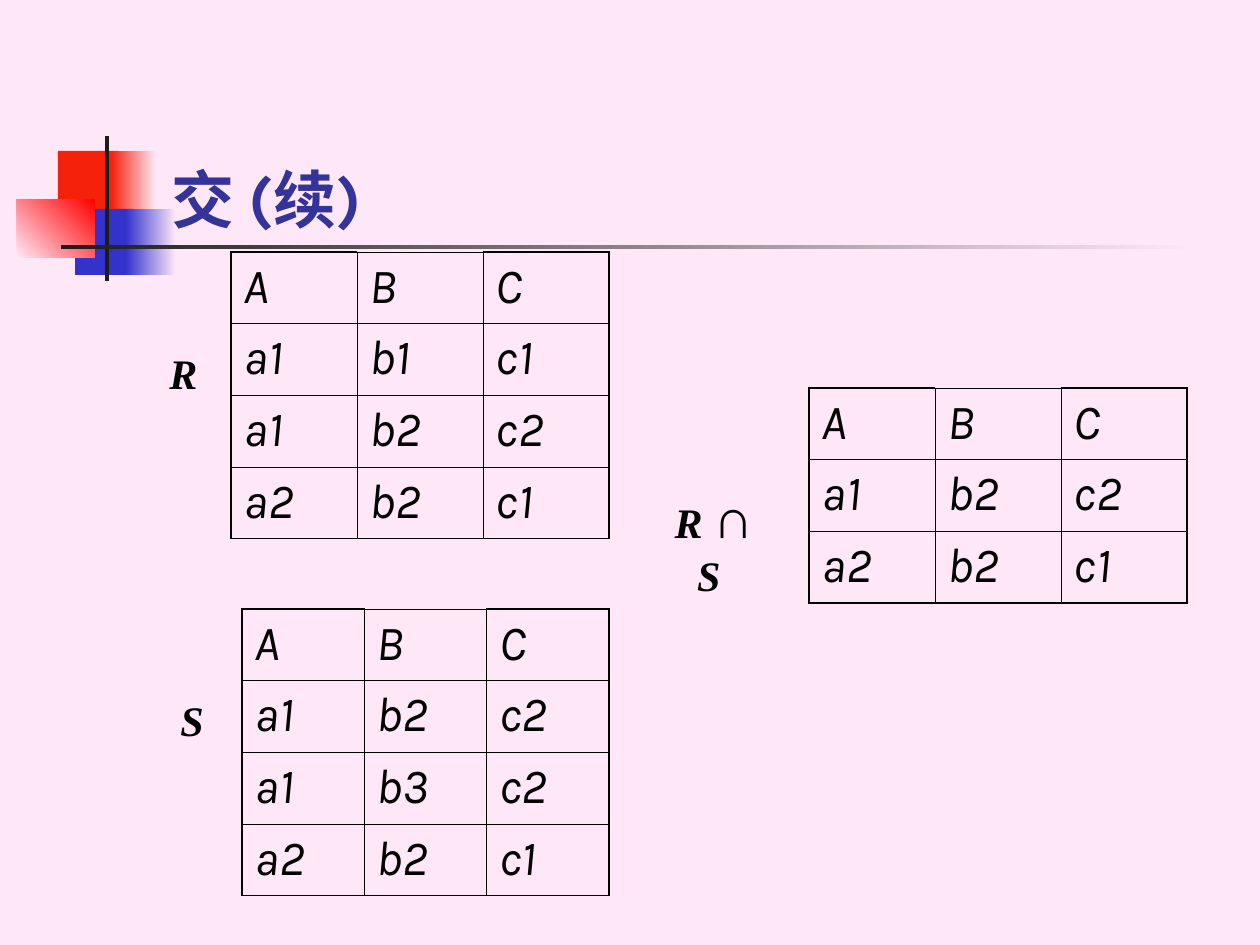
"""Build the slide that shows the intersection of relations R and S."""
from dataclasses import dataclass
from typing import Optional

from lxml.etree import SubElement
from pptx import Presentation
from pptx.dml.color import RGBColor
from pptx.enum.shapes import MSO_SHAPE
from pptx.enum.text import MSO_ANCHOR, PP_ALIGN
from pptx.oxml.ns import qn
from pptx.util import Emu, Pt

SCALE = 914400 / 126
BLACK = RGBColor(0x00, 0x00, 0x00)
PINK = RGBColor(0xFE, 0xE8, 0xF7)
RED = RGBColor(0xF5, 0x21, 0x0B)
BRIGHT = RGBColor(0xFF, 0x00, 0x00)
BLUE = RGBColor(0x33, 0x33, 0xCC)
NAVY = RGBColor(0x33, 0x33, 0x99)
DARK = RGBColor(0x1C, 0x1C, 0x1C)
THIN, THICK = Pt(0.45), Pt(1.08)
ROW = 72


@dataclass
class Block:
    x: int
    y: int
    w: int
    h: int
    color: RGBColor
    fade: Optional[RGBColor] = None
    angle: int = 0


@dataclass
class Grid:
    x: int
    y: int
    w: int
    rows: tuple[str, ...]


@dataclass
class Label:
    x: int
    y: int
    w: int
    h: int
    runs: tuple[str, ...]
    font: str = "Times New Roman"
    size: int = 24
    color: RGBColor = BLACK
    italic: bool = True
    wrap: bool = False
    anchor: MSO_ANCHOR = MSO_ANCHOR.MIDDLE
    align: PP_ALIGN = PP_ALIGN.CENTER


BLOCKS = (
    Block(58, 151, 60, 66, RED),
    Block(111, 151, 45, 66, RED, PINK),
    Block(75, 209, 58, 66, BLUE),
    Block(126, 209, 50, 66, BLUE, PINK),
    Block(17, 199, 78, 59, PINK, BRIGHT, 45),
    Block(105, 136, 4, 145, DARK),
    Block(61, 245, 1134, 4, DARK, PINK),
)
GRIDS = (
    Grid(231, 252, 378, ("A B C", "a1 b1 c1", "a1 b2 c2", "a2 b2 c1")),
    Grid(809, 388, 378, ("A B C", "a1 b2 c2", "a2 b2 c1")),
    Grid(242, 609, 367, ("A B C", "a1 b2 c2", "a1 b3 c2", "a2 b2 c1")),
)
LABELS = (
    Label(159, 84, 1074, 158, ("交 (续)",), "Karla", 36, NAVY, False, True,
          MSO_ANCHOR.BOTTOM, PP_ALIGN.LEFT),
    Label(157, 315, 42, 116, ("R",)),
    Label(168, 662, 42, 116, ("S",)),
    Label(656, 483, 116, 116, ("R ", "∩", " S ")),
)


def px(*values: int) -> list[Emu]:
    return [Emu(round(value * SCALE)) for value in values]


def add_block(slide, block: Block) -> None:
    shape = slide.shapes.add_shape(
        MSO_SHAPE.RECTANGLE, *px(block.x, block.y, block.w, block.h))
    shape.shadow.inherit = False
    shape.line.fill.background()
    fill = shape.fill
    if block.fade is None:
        fill.solid()
        fill.fore_color.rgb = block.color
        return
    fill.gradient()
    fill.gradient_angle = block.angle
    for stop, color, place in zip(
            fill.gradient_stops, (block.color, block.fade), (0, 1)):
        stop.color.rgb = color
        stop.position = place


def add_edge(cell, side: str, width: int) -> None:
    line = SubElement(cell._tc.get_or_add_tcPr(), qn(f"a:ln{side}"), w=str(width))
    fill = SubElement(line, qn("a:solidFill"))
    SubElement(fill, qn("a:srgbClr"), val=str(BLACK))


def add_grid(slide, grid: Grid) -> None:
    cells = [row.split() for row in grid.rows]
    last, end = len(cells) - 1, len(cells[0]) - 1
    frame = slide.shapes.add_table(
        last + 1, end + 1, *px(grid.x, grid.y, grid.w, ROW * len(cells)))
    table = frame.table
    table.first_row = table.horz_banding = False
    for row in table.rows:
        row.height = Emu(round(ROW * SCALE * 0.995))
    for r, row in enumerate(cells):
        for c, text in enumerate(row):
            cell = table.cell(r, c)
            thick = {"L": c == 0, "R": c == end,
                     "T": r == 0 and c in (0, end), "B": r == last}
            for side, wide in thick.items():
                add_edge(cell, side, THICK if wide else THIN)
            cell.fill.background()
            cell.text = text
            para = cell.text_frame.paragraphs[0]
            font = para.font
            font.name, font.size, font.italic = "Karla", Pt(28), True
            font.color.rgb = BLACK


def add_label(slide, label: Label) -> None:
    box = slide.shapes.add_textbox(*px(label.x, label.y, label.w, label.h))
    frame = box.text_frame
    frame.word_wrap = label.wrap
    frame.vertical_anchor = label.anchor
    para = frame.paragraphs[0]
    para.alignment = label.align
    font = para.font
    font.name, font.size, font.bold = label.font, Pt(label.size), True
    font.italic = label.italic
    font.color.rgb = label.color
    for text in label.runs:
        run = para.add_run()
        run.text = text
        if text == "∩":
            run.font.size, run.font.italic = Pt(32), False


def main() -> None:
    deck = Presentation()
    deck.slide_width, deck.slide_height = px(1260, 945)
    slide = deck.slides.add_slide(deck.slide_layouts[6])
    back = slide.background.fill
    back.solid()
    back.fore_color.rgb = PINK
    for block in BLOCKS:
        add_block(slide, block)
    for grid in GRIDS:
        add_grid(slide, grid)
    for label in LABELS:
        add_label(slide, label)
    deck.save("out.pptx")


if __name__ == "__main__":
    main()
